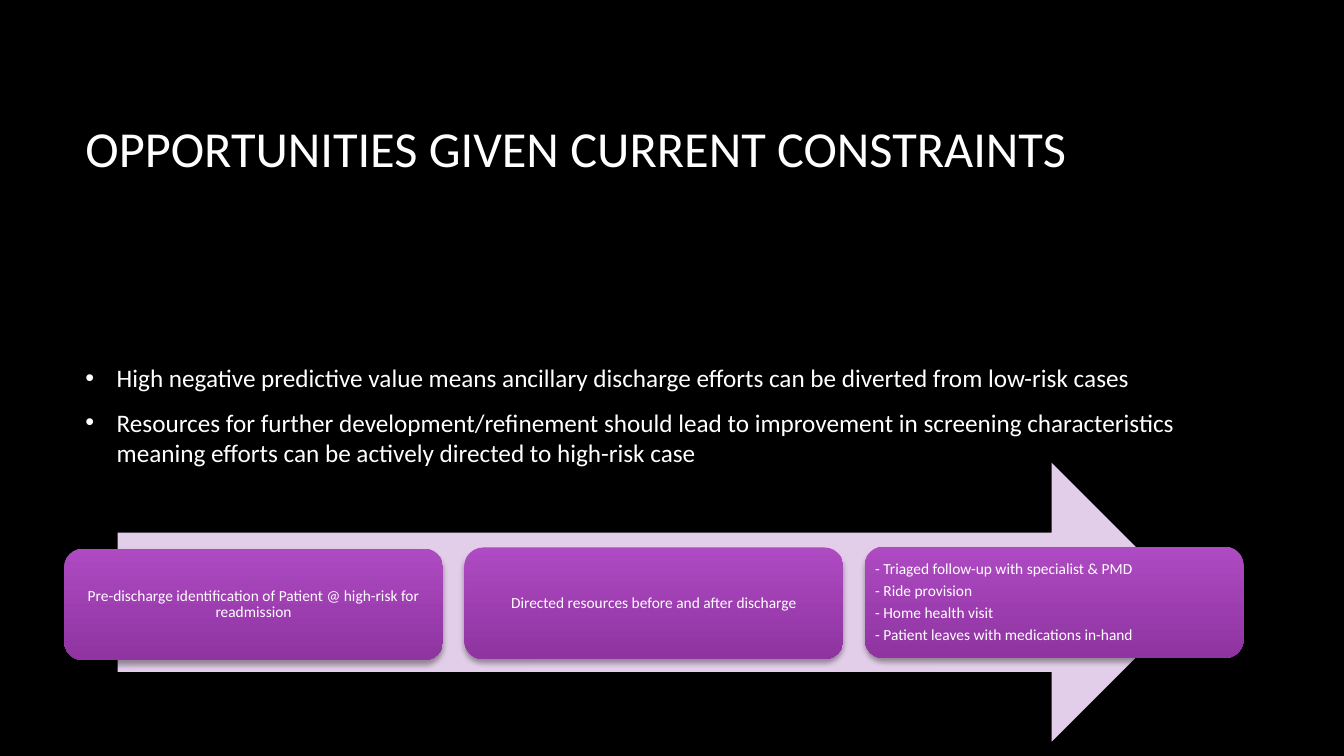
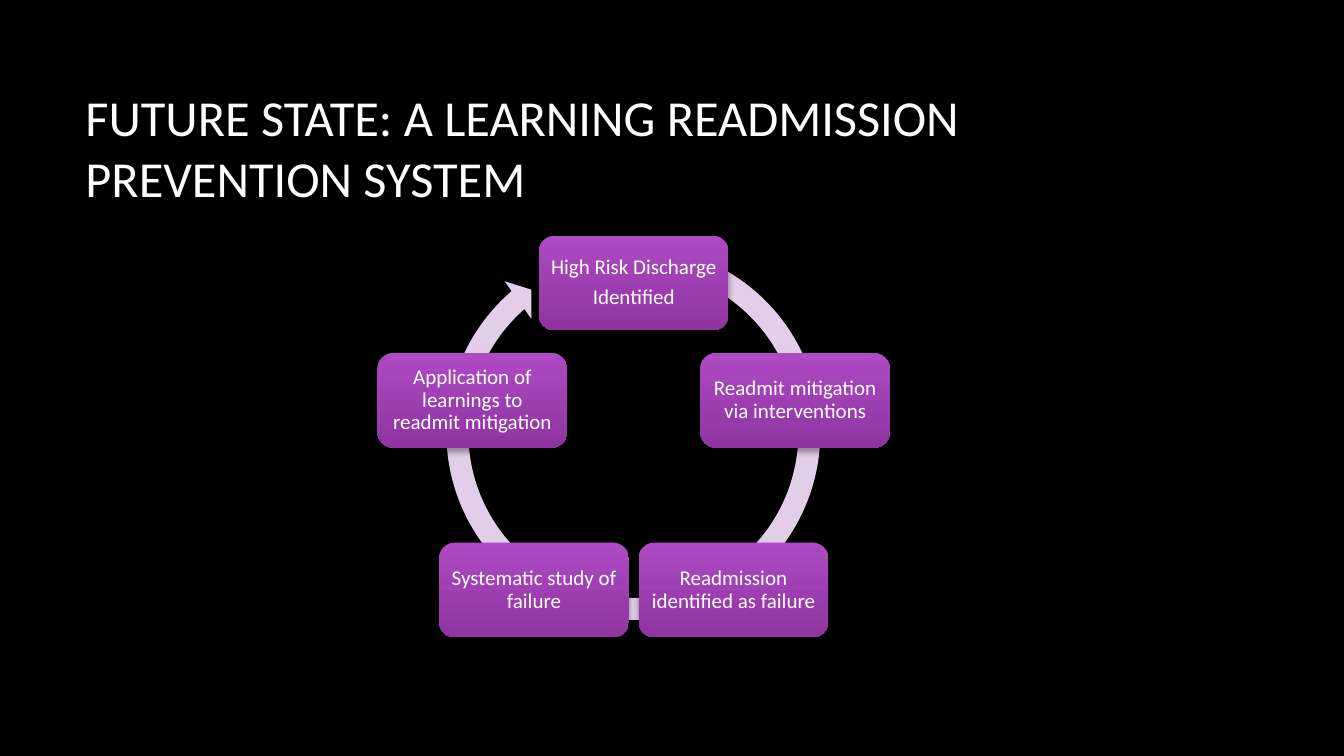
import math

from lxml import etree
from pptx import Presentation, util as u
from pptx.dml.color import RGBColor
from pptx.enum import shapes, text
from pptx.oxml import ns

COLORS = {
    "background": "000000",
    "text": "FFFFFF",
    "arrow": "E3CEE9",
    "card_top": "AE4AC2",
    "card_bottom": "8F34A1",
    "shadow": "000000",
}
FONT = "Calibri"

# The slide is a grid of 160 columns by 90 rows of square cells
COLUMNS, ROWS = 160, 90
CELL = u.Inches(7.5) / ROWS
TITLE_AREA = (9, 8, 133, 19)
BODY_AREA = (9, 28.1, 133, 42.6)

CARD = {"alignment": text.PP_ALIGN.CENTER, "line_spacing": 0.9}
CARD_LIST = CARD | {"alignment": text.PP_ALIGN.LEFT}
BULLET = {"space_after": u.Pt(10)}


def cells(*counts):
    return [round(count * CELL) for count in counts]


def color(name):
    return RGBColor.from_string(COLORS[name])


def set_all(target, values):
    for name, value in values.items():
        setattr(target, name, value)


def add_child(parent, tag, **attributes):
    return etree.SubElement(parent, ns.qn(tag), attributes)


# Text
def add_bullet(paragraph):
    properties = paragraph._p.get_or_add_pPr()
    indent = u.Inches(0.31)
    properties.set("marL", str(indent))
    properties.set("indent", str(-indent))
    add_child(add_child(properties, "a:buClr"), "a:srgbClr", val=COLORS["text"])
    add_child(properties, "a:buFont", typeface="Arial")
    add_child(properties, "a:buChar", char="•")


def write(frame, lines, size, style, bulleted=False):
    set_all(frame, {"word_wrap": True, "vertical_anchor": text.MSO_ANCHOR.MIDDLE})
    for index, line in enumerate(lines):
        paragraph = frame.add_paragraph() if index else frame.paragraphs[0]
        if bulleted:
            add_bullet(paragraph)
        set_all(paragraph, style)
        run = paragraph.add_run()
        run.text = line
        set_all(run.font, {"name": FONT, "size": u.Pt(size)})
        run.font.color.rgb = color("text")


def add_text(slide, area, lines, size, style, bulleted=False):
    box = slide.shapes.add_textbox(*cells(*area))
    write(box.text_frame, lines, size, style, bulleted)


def add_titled_slide(deck, title):
    slide = deck.slides.add_slide(deck.slide_layouts[6])
    add_text(slide, TITLE_AREA, [title], 36, {})
    return slide


# Shapes
def add_shadowed(slide, kind, area):
    shape = slide.shapes.add_shape(kind, *cells(*area))
    shape.line.fill.background()
    shape.shadow.inherit = False
    effects = shape._element.spPr.find(ns.qn("a:effectLst"))
    shadow = add_child(effects, "a:outerShdw", blurRad=str(u.Pt(4)),
                       dist=str(u.Pt(3)), dir="5400000", rotWithShape="0")
    tint = add_child(shadow, "a:srgbClr", val=COLORS["shadow"])
    add_child(tint, "a:alpha", val="35000")
    return shape


def add_arrow(slide, kind, area, adjustments=()):
    arrow = add_shadowed(slide, kind, area)
    arrow.fill.solid()
    arrow.fill.fore_color.rgb = color("arrow")
    for index, value in enumerate(adjustments):
        arrow.adjustments[index] = value


def add_card(slide, area, lines, size, style=CARD):
    card = add_shadowed(slide, shapes.MSO_SHAPE.ROUNDED_RECTANGLE, area)
    card.fill.gradient()
    card.fill.gradient_angle = 270
    for stop, name in zip(card.fill.gradient_stops, ("card_top", "card_bottom")):
        stop.color.rgb = color(name)
    sides = ("left", "top", "right", "bottom")
    set_all(card.text_frame, {f"margin_{side}": u.Inches(0.05) for side in sides})
    write(card.text_frame, lines, size, style | {"space_after": u.Pt(0.35 * size)})


# Slides
def add_opportunities(deck):
    slide = add_titled_slide(deck, "OPPORTUNITIES GIVEN CURRENT CONSTRAINTS")
    add_text(slide, BODY_AREA, [
        "High negative predictive value means ancillary discharge efforts can be "
        "diverted from low-risk cases",
        "Resources for further development/refinement should lead to improvement in "
        "screening characteristics meaning efforts can be actively directed to "
        "high-risk case",
    ], 18, BULLET, bulleted=True)
    add_arrow(slide, shapes.MSO_SHAPE.RIGHT_ARROW, (14, 55.1, 127.8, 33.2))
    steps = [
        (["Pre-discharge identification of Patient @ high-risk for readmission"], CARD),
        (["Directed resources before and after discharge"], CARD),
        (["- Triaged follow-up with specialist & PMD", "- Ride provision",
          "- Home health visit", "- Patient leaves with medications in-hand"],
         CARD_LIST),
    ]
    for index, (lines, style) in enumerate(steps):
        area = (7.65 + 47.65 * index, 65.3 - 0.12 * index, 45.1, 13.3)
        add_card(slide, area, lines, 11, style)


def add_future_state(deck):
    slide = add_titled_slide(
        deck, "FUTURE STATE: A LEARNING READMISSION PREVENTION SYSTEM")
    add_arrow(slide, shapes.MSO_SHAPE.CIRCULAR_ARROW, (51.7, 27.85, 47.4, 47.4),
              (0.055, 3.307, 137.433, 174.059, 0.058))
    stages = [
        ["High Risk Discharge", "Identified"],
        ["Readmit mitigation via interventions"],
        ["Readmission identified as failure"],
        ["Systematic study of failure"],
        ["Application of learnings to readmit mitigation"],
    ]
    # Stages sit clockwise on a circle, from the top
    center_x, center_y, radius = 75.45, 53.9, 20.2
    width, height = 22.6, 11.3
    for index, lines in enumerate(stages):
        angle = math.tau * index / len(stages)
        left = center_x + radius * math.sin(angle) - width / 2
        top = center_y - radius * math.cos(angle) - height / 2
        add_card(slide, (left, top, width, height), lines, 15)


def main():
    deck = Presentation()
    deck.slide_width, deck.slide_height = cells(COLUMNS, ROWS)
    backdrop = deck.slide_master.background.fill
    backdrop.solid()
    backdrop.fore_color.rgb = color("background")
    add_opportunities(deck)
    add_future_state(deck)
    deck.save("out.pptx")


if __name__ == "__main__":
    main()
